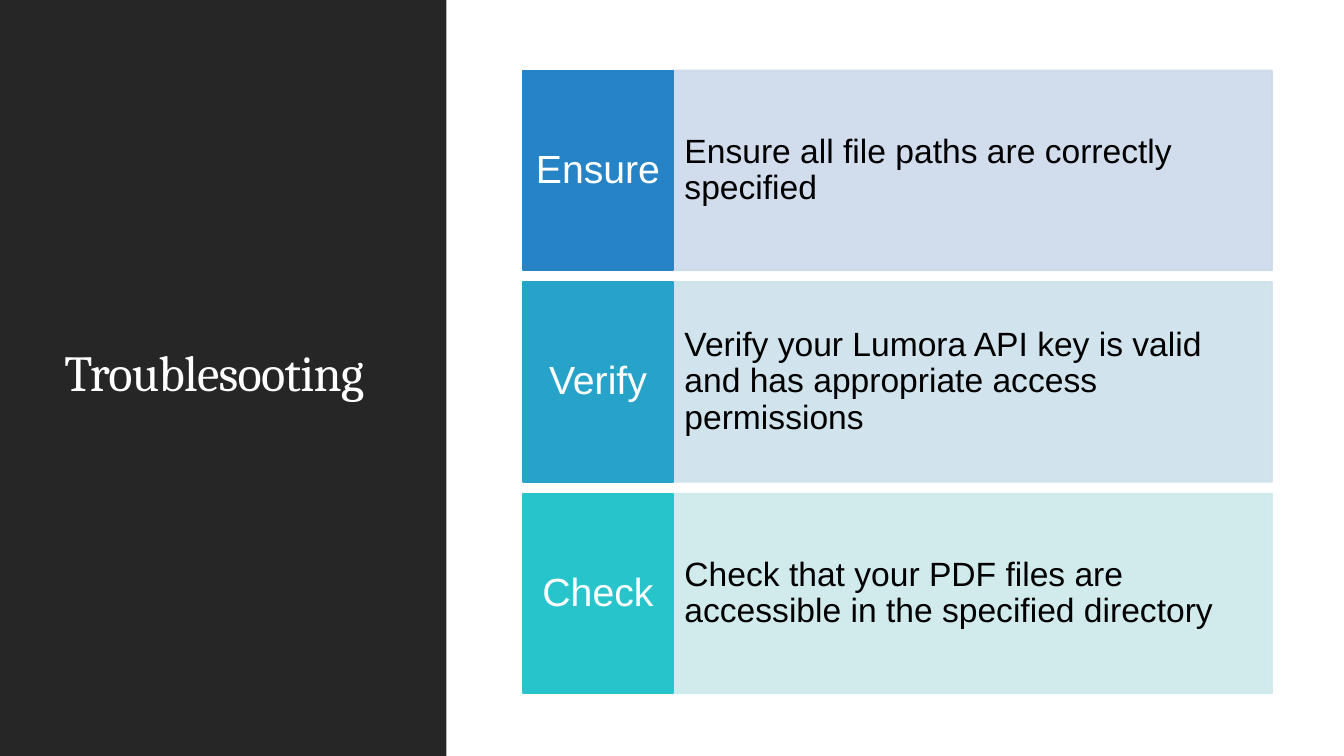
from lxml.etree import SubElement
from pptx import Presentation
from pptx.dml.color import RGBColor
from pptx.enum.shapes import MSO_SHAPE
from pptx.enum.text import MSO_ANCHOR, MSO_AUTO_SIZE, PP_ALIGN
from pptx.oxml.ns import qn
from pptx.util import Cm, Pt

COLORS = {"dark": "262626", "white": "FFFFFF", "black": "000000"}
STEPS = [
    ("Ensure", "Ensure all file paths are correctly specified", "2683C6", "CDD9EA"),
    ("Verify", "Verify your Lumora API key is valid and has appropriate access permissions",
     "27A3C9", "CDE1EB"),
    ("Check", "Check that your PDF files are accessible in the specified directory",
     "28C4CC", "CDE9EC"),
]
ROW_TOP, ROW_HEIGHT, ROW_PITCH = 1.78, 5.03, 5.33
LABEL_LEFT, LABEL_WIDTH = 13.18, 3.78
DETAIL_LEFT, DETAIL_WIDTH = 16.95, 15.11


class SlideBuilder:
    title_format = {"name": "Cambria", "size": Pt(36)}
    label_format = {"name": "Arial", "size": Pt(28)}
    detail_format = {"name": "Arial", "size": Pt(24)}

    def __init__(self, presentation):
        self.slide = presentation.slides.add_slide(presentation.slide_layouts[5])

    def set_text(self, shape, text, font_format, color, alignment, margins):
        """Fill a shape with one middle-anchored paragraph; margins are (side, top) in cm."""
        frame = shape.text_frame
        side, top = (Cm(margin) for margin in margins)
        frame_format = {
            "text": text, "word_wrap": True, "auto_size": MSO_AUTO_SIZE.NONE,
            "vertical_anchor": MSO_ANCHOR.MIDDLE, "margin_left": side,
            "margin_right": side, "margin_top": top, "margin_bottom": top,
        }
        for name, value in frame_format.items():
            setattr(frame, name, value)
        paragraph = frame.paragraphs[0]
        paragraph.alignment = alignment
        paragraph.line_spacing = 0.9
        font = paragraph.runs[0].font
        for name, value in font_format.items():
            setattr(font, name, value)
        font.color.rgb = RGBColor.from_string(COLORS[color])

    def title(self, text, left, top, width, height):
        title = self.slide.shapes.title
        box = {"left": left, "top": top, "width": width, "height": height}
        for name, value in box.items():
            setattr(title, name, Cm(value))
        self.set_text(title, text, self.title_format, "white", PP_ALIGN.LEFT, (0.25, 0.13))
        title.element.xpath(".//a:rPr")[0].set("spc", "-50")

    def rectangle(self, left, top, width, height, color, outlined=True, opacity=100):
        shape = self.slide.shapes.add_shape(
            MSO_SHAPE.RECTANGLE, Cm(left), Cm(top), Cm(width), Cm(height))
        shape.shadow.inherit = False
        shape.fill.solid()
        shape.fill.fore_color.rgb = RGBColor.from_string(color)
        if outlined:
            shape.line.color.rgb = RGBColor.from_string(color)
            shape.line.width = Pt(1.25)
        else:
            shape.line.fill.background()
        if opacity < 100:
            for tint in shape.element.xpath("./p:spPr//a:srgbClr"):
                SubElement(tint, qn("a:alpha")).set("val", str(opacity * 1000))
        return shape

    def side_panel(self, width, height):
        """Draw the dark panel behind the title."""
        panel = self.rectangle(0, 0, width, height, COLORS["dark"], outlined=False)
        self.slide.shapes.title.element.addprevious(panel.element)

    def step(self, top, label, detail, label_color, detail_color):
        detail_box = self.rectangle(
            DETAIL_LEFT, top, DETAIL_WIDTH, ROW_HEIGHT, detail_color, opacity=90)
        self.set_text(detail_box, detail, self.detail_format, "black", PP_ALIGN.LEFT, (0.3, 1.27))
        label_box = self.rectangle(LABEL_LEFT, top, LABEL_WIDTH, ROW_HEIGHT, label_color)
        self.set_text(label_box, label, self.label_format, "white", PP_ALIGN.CENTER, (0.2, 0.5))


def main():
    presentation = Presentation()
    presentation.slide_width = Cm(33.87)
    presentation.slide_height = Cm(19.05)
    builder = SlideBuilder(presentation)
    builder.side_panel(11.25, 19.05)
    builder.title("Troublesooting", 1.37, 1.45, 8.56, 16.03)
    for index, step in enumerate(STEPS):
        builder.step(ROW_TOP + index * ROW_PITCH, *step)
    presentation.save("out.pptx")


if __name__ == "__main__":
    main()
